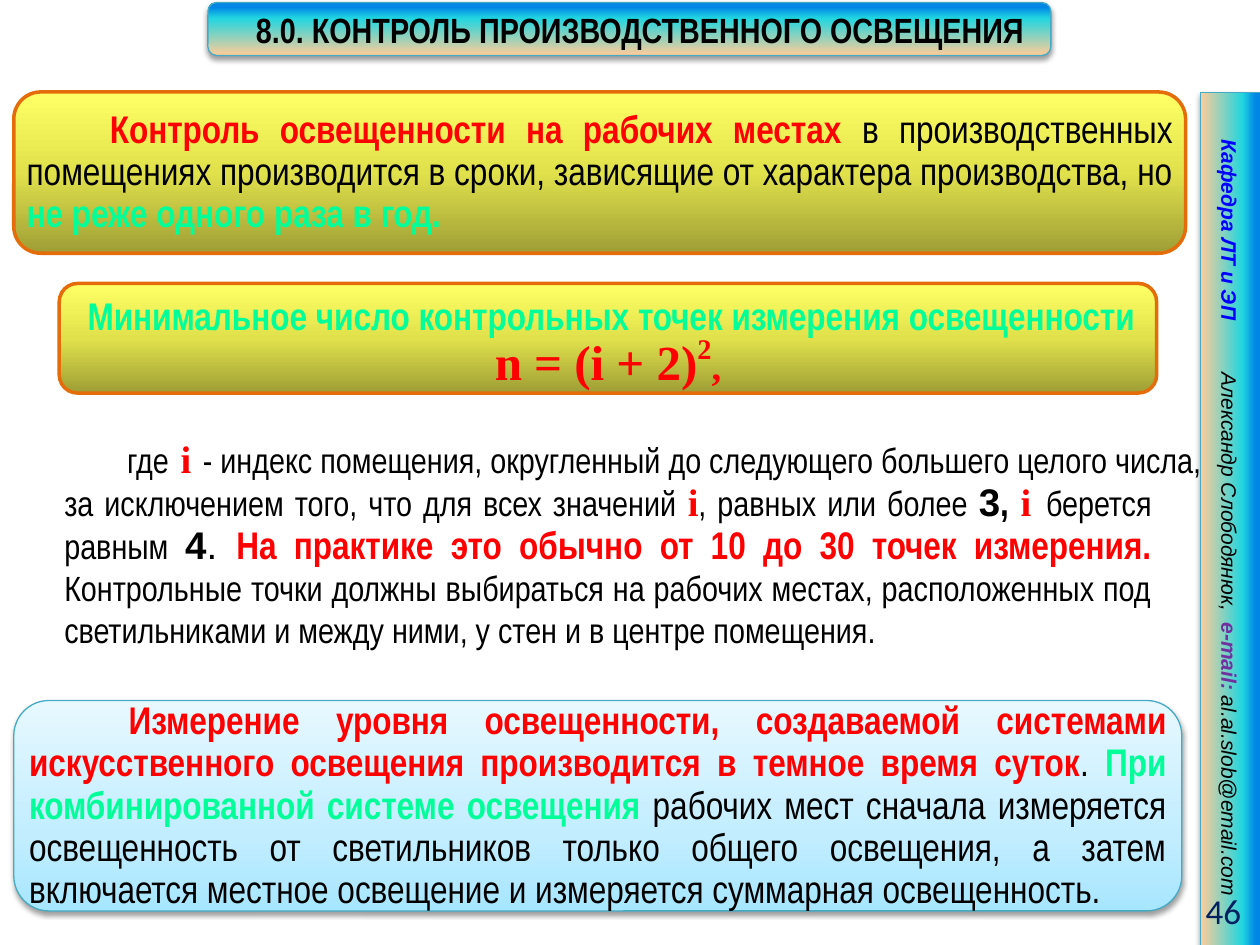
from pptx import Presentation, util as u
from pptx.dml.color import RGBColor
from pptx.enum import shapes, text
from pptx.oxml import parse_xml
from pptx.oxml.ns import nsdecls, qn

Inches, Pt = u.Inches, u.Pt
AL = text.PP_ALIGN
NARROW, ARIAL, TIMES = "Arial Narrow", "Arial", "Times New Roman"

THEME = {
    "black": "000000", "red": "FF0000", "green": "00FF99", "blue": "0000FF",
    "purple": "7030A0", "navy": "002060",
    "note": 12, "body": 20, "strong": 22, "gap": 24, "formula": 28,
    "outline": {"red": 0.07, "green": 1},
    "teal": ([(0, "FFCC99"), (70, "21D6E0"), (91, "0087E6")], "46AAC5", 0.75, True),
    "yellow": ([(0, "9E9E36"), (50, "E1E14C"), (100, "FFFF66")], "E46C0A", 2, False),
    "sky": ([(0, "A7E6FF"), (35, "C1EDFF"), (100, "E7F8FF")], "46AAC5", 0.75, True),
}


def paint(s, look):
    stops, line, width, shadow = THEME[look]
    gs = "".join(f'<a:gs pos="{pos * 1000}"><a:srgbClr val="{c}"/></a:gs>' for pos, c in stops)
    grad = parse_xml(f'<a:gradFill {nsdecls("a")} rotWithShape="1"><a:gsLst>{gs}</a:gsLst>'
                     '<a:lin ang="16200000" scaled="0"/></a:gradFill>')
    s._element.spPr.find(qn("a:prstGeom")).addnext(grad)
    s.line.color.rgb = RGBColor.from_string(line)
    s.line.width = Pt(width)
    s.shadow.inherit = False
    if shadow:
        effects = s._element.spPr.find(qn("a:effectLst"))
        effects.append(parse_xml(
            f'<a:outerShdw {nsdecls("a")} blurRad="{Pt(3.1)}" dist="{Pt(1.6)}" dir="5400000" '
            'rotWithShape="0"><a:srgbClr val="000000"><a:alpha val="38000"/></a:srgbClr></a:outerShdw>'))


def write(s, runs, align, spacing=None, indent=0, inset=0.04, left=None):
    tf = s.text_frame
    tf.word_wrap = True
    tf.auto_size = text.MSO_AUTO_SIZE.NONE
    tf.vertical_anchor = text.MSO_ANCHOR.MIDDLE
    tf.margin_top = tf.margin_bottom = tf.margin_right = Inches(inset)
    tf.margin_left = Inches(inset if left is None else left)
    p = tf.paragraphs[0]
    p.alignment = align
    if spacing:
        p.line_spacing = Pt(spacing)
    pPr = p._p.get_or_add_pPr()
    pPr.set("marL", "0")
    pPr.set("indent", str(Inches(indent)))
    for words, size, font, color, style in runs:
        r = p.add_run()
        r.text = words
        r.font.size = Pt(THEME[size])
        r.font.name = font
        r.font.bold = "b" in style
        r.font.italic = "i" in style
        r.font.color.rgb = RGBColor.from_string(THEME[color])
        rPr = r._r.get_or_add_rPr()
        if "o" in style:
            rPr.insert(0, parse_xml(
                f'<a:ln {nsdecls("a")} w="{Pt(THEME["outline"][color])}"><a:solidFill>'
                '<a:srgbClr val="000000"><a:alpha val="55000"/></a:srgbClr></a:solidFill>'
                '<a:prstDash val="solid"/></a:ln>'))
        if "^" in style:
            rPr.set("baseline", "44000")


prs = Presentation()
prs.slide_width, prs.slide_height = Inches(10), Inches(7.5)
slide = prs.slides.add_slide(prs.slide_layouts[5])

title_box = [Inches(v) for v in (1.65, 0.02, 6.69, 0.42)]
banner = slide.shapes.add_shape(shapes.MSO_SHAPE.ROUNDED_RECTANGLE, *title_box)
paint(banner, "teal")
title = slide.shapes.title
title.left, title.top, title.width, title.height = title_box
banner._element.addnext(title._element)
write(title, [("8.0. КОНТРОЛЬ ПРОИЗВОДСТВЕННОГО ОСВЕЩЕНИЯ", "body", NARROW, "black", "b")],
      AL.CENTER, 24, left=0.21)

index = ("i", "strong", TIMES, "red", "bo")
space = (" ", "gap", ARIAL, "black", "b")
lead = slide.shapes.add_textbox(*map(Inches, (0.47, 3.49, 9.3, 0.34)))
write(lead, [
    ("где", "body", NARROW, "black", ""),
    space, index, space,
    ("- индекс помещения, округленный до следующего большего целого числа,",
     "body", NARROW, "black", ""),
], AL.LEFT, 24, indent=0.5)

explanation = slide.shapes.add_textbox(*map(Inches, (0.47, 3.83, 8.71, 1.34)))
write(explanation, [
    ("за исключением того, что для всех значений ", "body", NARROW, "black", ""),
    index,
    (", равных или более ", "body", NARROW, "black", ""),
    ("3", "strong", ARIAL, "black", "b"),
    (", ", "strong", NARROW, "black", "b"),
    index, space,
    ("берется равным ", "body", NARROW, "black", ""),
    ("4", "strong", ARIAL, "black", "b"),
    (". ", "strong", ARIAL, "black", ""),
    ("На практике это обычно от 10 до 30 точек измерения. ", "strong", NARROW, "red", "bo"),
    ("Контрольные точки должны выбираться на рабочих местах, расположенных под "
     "светильниками и между ними, у стен и в центре помещения.", "body", NARROW, "black", ""),
], AL.JUSTIFY, 24)

sidebar = slide.shapes.add_shape(shapes.MSO_SHAPE.RECTANGLE,
                                 *map(Inches, (6.38, 3.88, 6.77, 0.48)))
sidebar.rotation = 90
paint(sidebar, "teal")

side_labels = [
    (1.11, 1.7, [("Кафедра ЛТ и ЭП", "note", ARIAL, "blue", "bi")]),
    (2.96, 1.95, [("Александр Слободянюк,", "note", ARIAL, "black", "i")]),
    (4.94, 2.3, [("e-mail: ", "note", ARIAL, "purple", "bi"),
                 ("al.al.slob@email.com", "note", ARIAL, "black", "i")]),
]
bar_center, label_height = 9.76, 0.3
for start, length, runs in side_labels:
    label = slide.shapes.add_textbox(
        Inches(bar_center - length / 2), Inches(start + length / 2 - label_height / 2),
        Inches(length), Inches(label_height))
    label.rotation = 90
    write(label, runs, AL.LEFT, inset=0)

number = slide.shapes.add_textbox(*map(Inches, (8.86, 7.03, 1.09, 0.4)))
write(number, [("46", "body", "Calibri", "navy", "")], AL.RIGHT, inset=0.1)

panels = [
    ((0.11, 0.73, 9.3, 1.28), "yellow", AL.JUSTIFY, 24, 0.66, [
        ("Контроль освещенности на рабочих местах ", "strong", NARROW, "red", "bo"),
        ("в производственных помещениях производится в сроки, зависящие от характера "
         "производства, но ", "strong", NARROW, "black", ""),
        ("не реже одного раза в год.", "strong", NARROW, "green", "bo"),
    ]),
    ((0.47, 2.25, 8.71, 0.87), "yellow", AL.CENTER, 30, 0.05, [
        ("Минимальное число контрольных точек измерения освещенности ",
         "strong", NARROW, "green", "bo"),
        ("n = (i + 2)", "formula", TIMES, "red", "bo"),
        ("2", "formula", TIMES, "red", "bo^"),
        (",", "strong", TIMES, "red", "bo"),
    ]),
    ((0.11, 5.56, 9.27, 1.67), "sky", AL.JUSTIFY, 24, 0.79, [
        ("Измерение уровня освещенности, создаваемой системами искусственного освещения "
         "производится в темное время суток", "strong", NARROW, "red", "bo"),
        (". ", "strong", NARROW, "black", ""),
        ("При комбинированной системе освещения ", "strong", NARROW, "green", "bo"),
        ("рабочих мест сначала измеряется освещенность от светильников только общего "
         "освещения, а затем включается местное освещение и измеряется суммарная "
         "освещенность.", "strong", NARROW, "black", ""),
    ]),
]
for box, look, align, spacing, indent, runs in panels:
    panel = slide.shapes.add_shape(shapes.MSO_SHAPE.ROUNDED_RECTANGLE, *map(Inches, box))
    paint(panel, look)
    write(panel, runs, align, spacing, indent)

prs.save("out.pptx")
